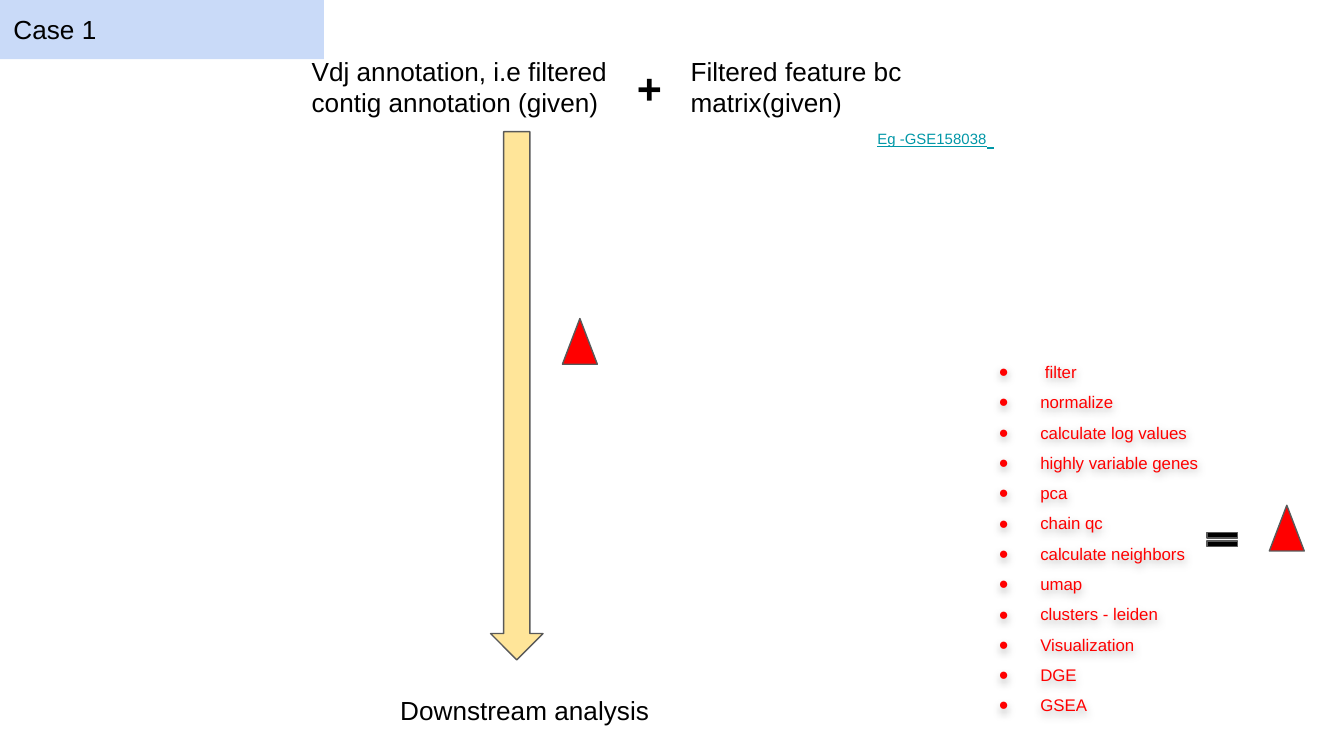
"""Build the Case 1 analysis workflow slide."""
from pptx import Presentation
from pptx.dml.color import RGBColor
from pptx.enum.shapes import MSO_SHAPE
from pptx.enum.text import MSO_ANCHOR, MSO_AUTO_SIZE, PP_ALIGN
from pptx.oxml import parse_xml
from pptx.oxml.ns import nsdecls
from pptx.util import Inches, Pt

BLACK = RGBColor(0x00, 0x00, 0x00)
RED = RGBColor(0xFF, 0x00, 0x00)
TEAL = RGBColor(0x00, 0x97, 0xA7)
GRAY = RGBColor(0x59, 0x59, 0x59)
YELLOW = RGBColor(0xFF, 0xE5, 0x99)
PALE_BLUE = RGBColor(0xC9, 0xDA, 0xF8)

COLUMNS = 100
ROWS = 56.25
STEPS = [
    " filter", "normalize", "calculate log values", "highly variable genes",
    "pca", "chain qc", "calculate neighbors", "umap", "clusters - leiden",
    "Visualization", "DGE", "GSEA",
]


def write_span(para, text, size=14, color=BLACK, bold=False, underline=False):
    span = para.add_run()
    span.text = text
    span.font.name = "Arial"
    span.font.size = Pt(size)
    span.font.color.rgb = color
    span.font.bold = bold
    span.font.underline = underline


class Workflow:
    def __init__(self, deck):
        self.slide = deck.slides.add_slide(deck.slide_layouts[1])
        self.column = deck.slide_width / COLUMNS
        self.row = deck.slide_height / ROWS

    def area(self, left, top, width, height):
        return (round(left * self.column), round(top * self.row),
                round(width * self.column), round(height * self.row))

    def place(self, box, area):
        box.left, box.top, box.width, box.height = self.area(*area)
        return self.frame(box)

    def frame(self, box):
        frame = box.text_frame
        frame.word_wrap = True
        frame.auto_size = MSO_AUTO_SIZE.NONE
        frame.vertical_anchor = MSO_ANCHOR.TOP
        frame.margin_left = frame.margin_right = Inches(0.1)
        frame.margin_top = frame.margin_bottom = Inches(0.1)
        return frame

    def title(self, text, area):
        box = self.slide.shapes.title
        para = self.place(box, area).paragraphs[0]
        para.alignment = PP_ALIGN.LEFT
        box.fill.solid()
        box.fill.fore_color.rgb = PALE_BLUE
        write_span(para, text)

    def bullets(self, items, area):
        box = self.slide.placeholders[1]
        frame = self.place(box, area)
        for index, item in enumerate(items):
            para = frame.add_paragraph() if index else frame.paragraphs[0]
            para.line_spacing = 1.5
            para.space_before = Pt(0)
            properties = para._p.get_or_add_pPr()
            properties.set("marL", str(Inches(0.5)))
            properties.set("indent", str(Inches(-0.31)))
            properties.append(parse_xml(
                f'<a:buClr {nsdecls("a")}><a:srgbClr val="{RED}"/></a:buClr>'))
            properties.append(parse_xml(f'<a:buFont {nsdecls("a")} typeface="Arial"/>'))
            properties.append(parse_xml(f'<a:buChar {nsdecls("a")} char="●"/>'))
            write_span(para, item, size=9, color=RED)
        box._element.spPr.append(parse_xml(
            f'<a:effectLst {nsdecls("a")}>'
            '<a:outerShdw blurRad="57150" dist="19050" dir="5400000">'
            '<a:srgbClr val="000000"><a:alpha val="30000"/></a:srgbClr>'
            '</a:outerShdw></a:effectLst>'))

    def text(self, text, area, **style):
        box = self.slide.shapes.add_textbox(*self.area(*area))
        para = self.frame(box).paragraphs[0]
        write_span(para, text, **style)
        return para

    def shape(self, kind, area, color, adjustments=()):
        shape = self.slide.shapes.add_shape(kind, *self.area(*area))
        shape.shadow.inherit = False
        shape.fill.solid()
        shape.fill.fore_color.rgb = color
        shape.line.color.rgb = GRAY
        shape.line.width = Pt(0.75)
        for index, value in enumerate(adjustments):
            shape.adjustments[index] = value


deck = Presentation()
deck.slide_width = Inches(10)
deck.slide_height = deck.slide_width * 9 // 16
workflow = Workflow(deck)

workflow.title("Case 1", (0, 0, 24.1, 4.4))
workflow.bullets(STEPS, (71.4, 25.15, 28.9, 30.8))

workflow.text("Vdj annotation, i.e filtered contig annotation (given)",
              (22.2, 3.1, 26.1, 6.7))
workflow.text("+", (46.4, 3.6, 4.8, 5.9), size=23, bold=True)
workflow.text("Filtered feature bc matrix(given)", (50.4, 3.1, 27, 6.7))
workflow.text("Downstream analysis", (28.8, 50.7, 25.4, 4.4))
example = workflow.text("Eg -GSE158038", (64.3, 7.7, 17, 4.5),
                        size=8, color=TEAL, underline=True)
write_span(example, " ", size=15, color=TEAL, underline=True)

workflow.shape(MSO_SHAPE.DOWN_ARROW, (36.5, 9.8, 3.9, 39.3), YELLOW, (0.5, 0.5))
workflow.shape(MSO_SHAPE.MATH_EQUAL, (89.4, 39.3, 3.1, 1.7), BLACK, (0.235, 0.138))
for left, top in ((41.85, 23.7), (94.45, 37.6)):
    workflow.shape(MSO_SHAPE.ISOSCELES_TRIANGLE, (left, top, 2.6, 3.4), RED)

deck.save("out.pptx")
